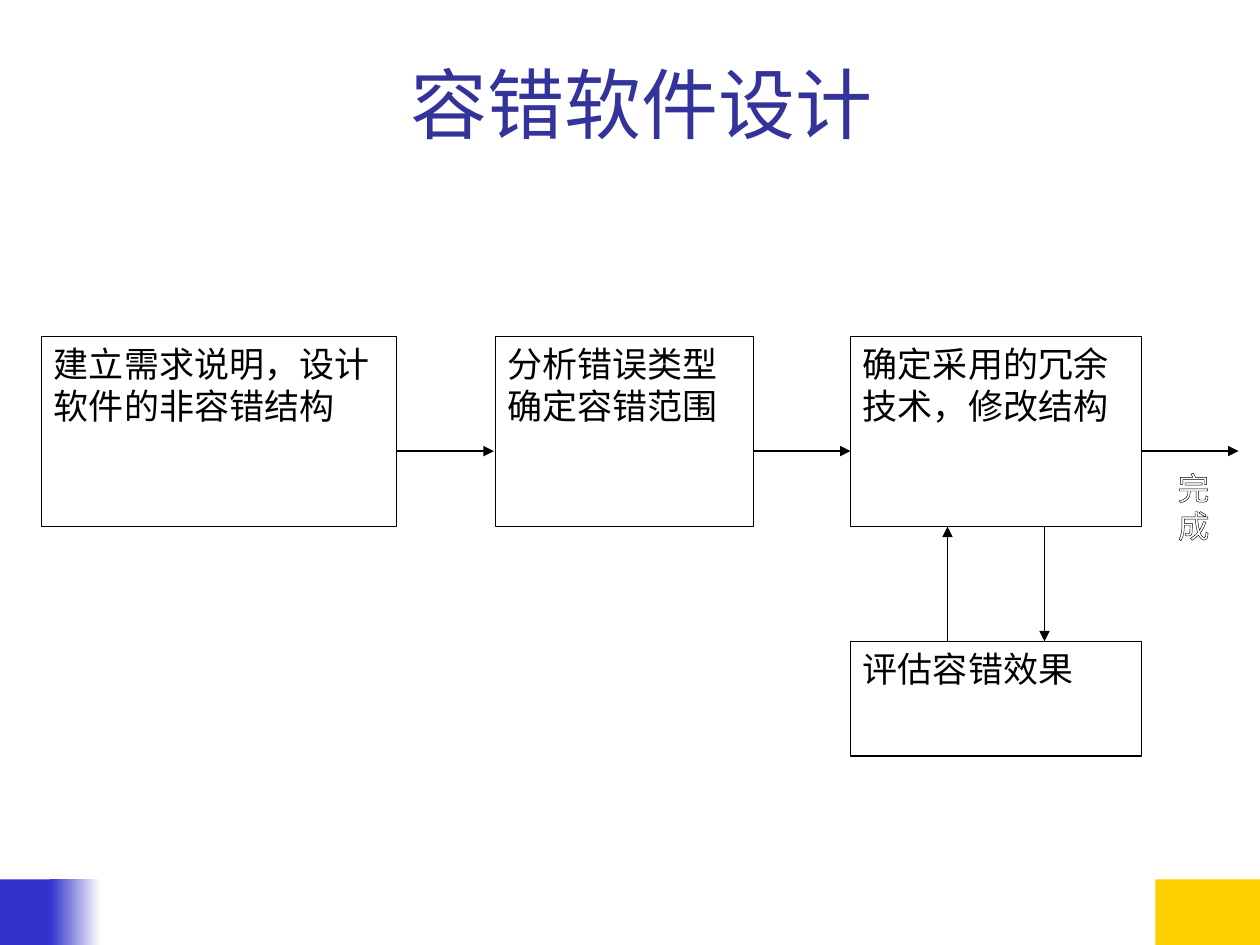
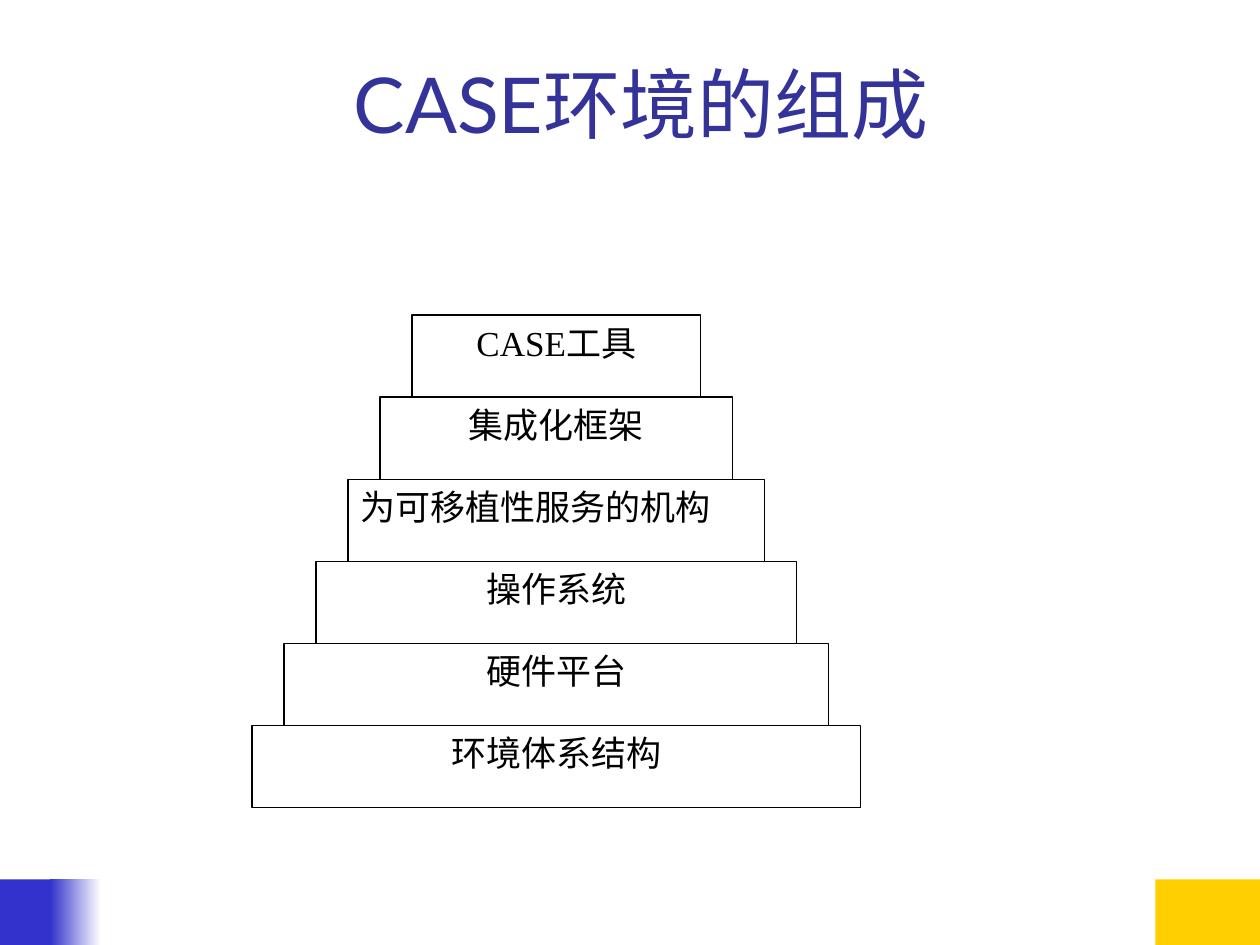
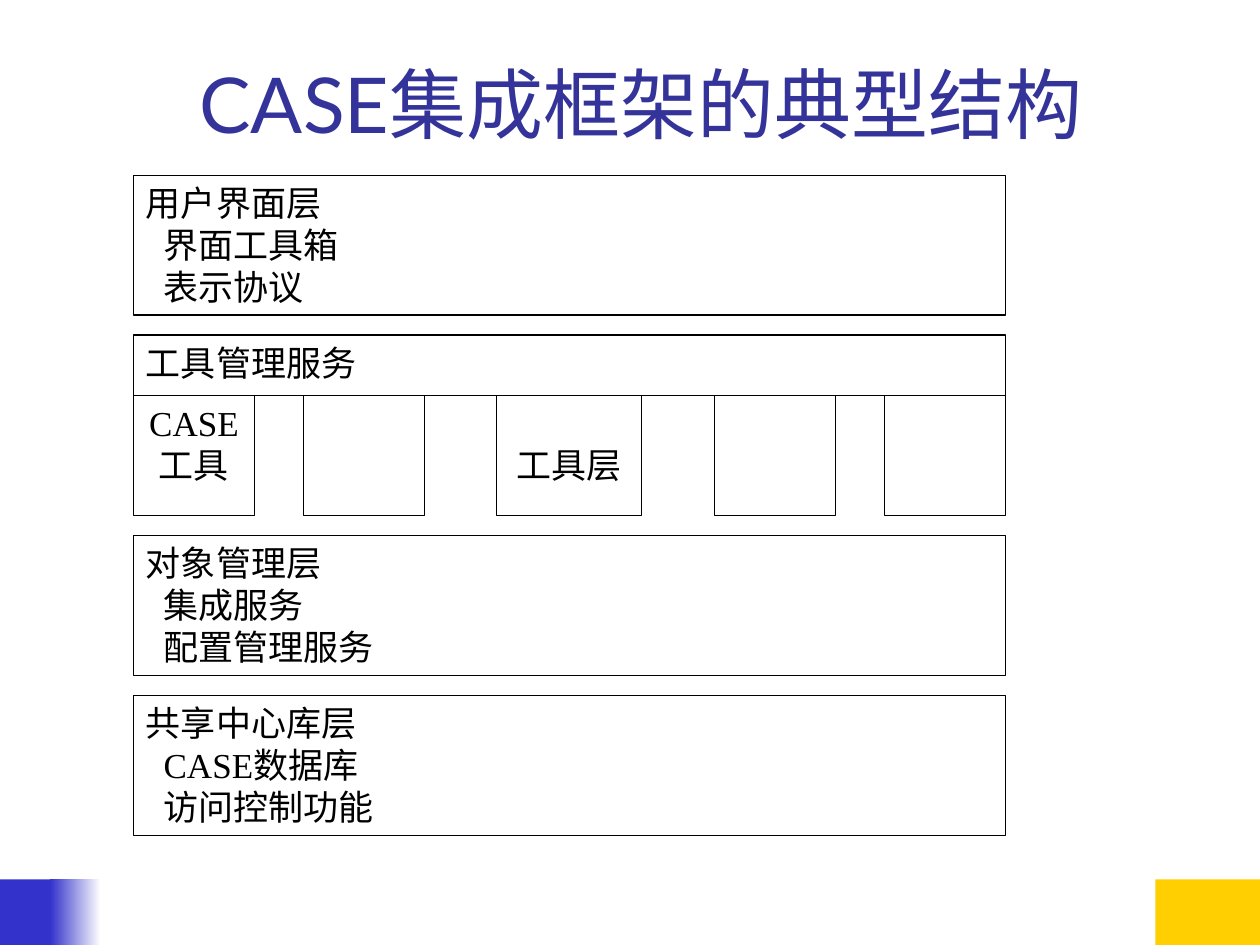
import pptx
import pptx.dml.color
import pptx.enum.shapes
import pptx.enum.text
import pptx.oxml.ns
import pptx.util
from lxml import etree

Inches = pptx.util.Inches
Pt = pptx.util.Pt
qn = pptx.oxml.ns.qn
ALIGN = pptx.enum.text.PP_ALIGN
ANCHOR = pptx.enum.text.MSO_ANCHOR
RECTANGLE = pptx.enum.shapes.MSO_SHAPE.RECTANGLE
STRAIGHT = pptx.enum.shapes.MSO_CONNECTOR.STRAIGHT

# Shared style
WHITE, BLACK = "FFFFFF", "000000"
TITLE_BLUE, BAND_BLUE, BAND_YELLOW = "333399", "3333CC", "FFCF01"
TITLE_FONT, BODY_FONT, CJK_FONT = "Lato", "Times New Roman", "Noto Sans CJK SC"
BODY_SIZE = 20
LINE_WIDTH = 0.75
BAND_TOP, BAND_HEIGHT = 6.98, 0.52


def color(value):
    return pptx.dml.color.RGBColor.from_string(value)


def style_paragraph(para, font_name, size, ink, align):
    para.alignment = align
    para.font.size = Pt(size)
    para.font.color.rgb = color(ink)
    para.font.name = font_name
    defaults = para._p.pPr.find(qn("a:defRPr"))
    etree.SubElement(defaults, qn("a:ea")).set("typeface", CJK_FONT)


def add_band(page, left, width, fill):
    band = page.shapes.add_shape(RECTANGLE, Inches(left), Inches(BAND_TOP),
                                 Inches(width), Inches(BAND_HEIGHT))
    band.shadow.inherit = False
    band.line.fill.background()
    if isinstance(fill, str):
        band.fill.solid()
        band.fill.fore_color.rgb = color(fill)
    else:
        band.fill.gradient()
        band.fill.gradient_angle = 180
        for stop, value in zip(band.fill.gradient_stops, fill):
            stop.color.rgb = color(value)


def add_page(deck, title_text):
    """Add a page with the footer bands and a title."""
    page = deck.slides.add_slide(deck.slide_layouts[5])
    add_band(page, 9.17, 0.83, BAND_YELLOW)
    add_band(page, 0, 0.46, BAND_BLUE)
    add_band(page, 0.4, 0.4, (WHITE, BAND_BLUE))

    title = page.shapes.title
    title.left, title.top = Inches(0.83), Inches(0.28)
    title.width, title.height = Inches(8.52), Inches(0.95)
    frame = title.text_frame
    frame.text = title_text
    frame.vertical_anchor = ANCHOR.BOTTOM
    frame.auto_size = pptx.enum.text.MSO_AUTO_SIZE.NONE
    style_paragraph(frame.paragraphs[0], TITLE_FONT, 44, TITLE_BLUE, ALIGN.CENTER)
    return page


def add_box(page, left, top, width, height, lines=(), align=ALIGN.JUSTIFY,
            indent=0, top_margin=0.05):
    """Add an outlined box; lines after the first are indented."""
    box = page.shapes.add_shape(RECTANGLE, Inches(left), Inches(top),
                                Inches(width), Inches(height))
    box.shadow.inherit = False
    box.fill.solid()
    box.fill.fore_color.rgb = color(WHITE)
    box.line.color.rgb = color(BLACK)
    box.line.width = Pt(LINE_WIDTH)
    frame = box.text_frame
    frame.vertical_anchor = ANCHOR.TOP
    frame.margin_top = Inches(top_margin)
    for number, line in enumerate(lines):
        para = frame.add_paragraph() if number else frame.paragraphs[0]
        para.text = line
        style_paragraph(para, BODY_FONT, BODY_SIZE, BLACK, align)
        if number and indent:
            para._p.pPr.set("marL", str(Inches(indent)))


def add_arrow(page, x1, y1, x2, y2):
    arrow = page.shapes.add_connector(STRAIGHT, Inches(x1), Inches(y1),
                                      Inches(x2), Inches(y2))
    arrow.line.color.rgb = color(BLACK)
    arrow.line.width = Pt(LINE_WIDTH)
    etree.SubElement(arrow.line._get_or_add_ln(), qn("a:tailEnd")).set("type", "triangle")
    etree.SubElement(arrow._element.spPr, qn("a:effectLst"))


def add_outlined_label(page, left, top, width, height, text):
    label = page.shapes.add_textbox(Inches(left), Inches(top), Inches(width), Inches(height))
    label.text_frame.word_wrap = False
    para = label.text_frame.paragraphs[0]
    para.text = text
    style_paragraph(para, CJK_FONT, 18, WHITE, ALIGN.LEFT)
    # Letter outline
    outline = etree.Element(qn("a:ln"), w=str(Pt(LINE_WIDTH)))
    fill = etree.SubElement(outline, qn("a:solidFill"))
    etree.SubElement(fill, qn("a:srgbClr")).set("val", BLACK)
    para.runs[0]._r.get_or_add_rPr().insert(0, outline)


def build_design_flow(deck):
    page = add_page(deck, "容错软件设计")
    top, height, arrow_length = 2.67, 1.51, 0.77
    steps = [
        (0.33, 2.82, ["建立需求说明，设计", "软件的非容错结构"]),
        (3.93, 2.05, ["分析错误类型", "确定容错范围"]),
        (6.75, 2.31, ["确定采用的冗余", "技术，修改结构"]),
    ]
    for left, width, lines in steps:
        add_box(page, left, top, width, height, lines)
        right = left + width
        add_arrow(page, right, 3.58, right + arrow_length, 3.58)

    # Evaluation loop under the last step
    bottom, review_top = top + height, 5.09
    add_box(page, left, review_top, width, 0.91, ["评估容错效果"])
    add_arrow(page, left + arrow_length, review_top, left + arrow_length, bottom)
    add_arrow(page, right - arrow_length, bottom, right - arrow_length, review_top)
    add_outlined_label(page, 9.25, 3.67, 0.5, 0.25, "完成")


def build_environment_pyramid(deck):
    page = add_page(deck, "CASE环境的组成")
    center, top, height = 4.415, 2.5, 0.652
    levels = ["CASE工具", "集成化框架", "为可移植性服务的机构",
              "操作系统", "硬件平台", "环境体系结构"]
    for number, level in enumerate(levels):
        width = 2.29 + 0.508 * number
        align = ALIGN.JUSTIFY if number == 2 else ALIGN.CENTER
        add_box(page, center - width / 2, top + height * number, width, height,
                [level], align)


def build_framework_layers(deck):
    page = add_page(deck, "CASE集成框架的典型结构")
    left, width = 1.06, 6.92
    layers = [
        (1.39, 1.11, ["用户界面层", "界面工具箱", "表示协议"]),
        (2.66, 0.48, ["工具管理服务"]),
        (4.25, 1.11, ["对象管理层", "集成服务", "配置管理服务"]),
        (5.52, 1.11, ["共享中心库层", "CASE数据库", "访问控制功能"]),
    ]
    for top, height, lines in layers:
        add_box(page, left, top, width, height, lines, indent=0.14)

    # Tools hanging below the tool management service
    tools = [
        (1.06, 0.96, ["CASE", "工具"], 0.05),
        (2.41, 0.96, [], 0.05),
        (3.94, 1.15, ["工具层"], 0.38),
        (5.67, 0.96, [], 0.05),
        (7.02, 0.96, [], 0.05),
    ]
    for tool_left, tool_width, lines, margin in tools:
        add_box(page, tool_left, 3.14, tool_width, 0.95, lines, ALIGN.CENTER,
                top_margin=margin)


def main():
    deck = pptx.Presentation()
    deck.slide_width, deck.slide_height = Inches(10), Inches(7.5)
    build_design_flow(deck)
    build_environment_pyramid(deck)
    build_framework_layers(deck)
    deck.save("out.pptx")


if __name__ == "__main__":
    main()
